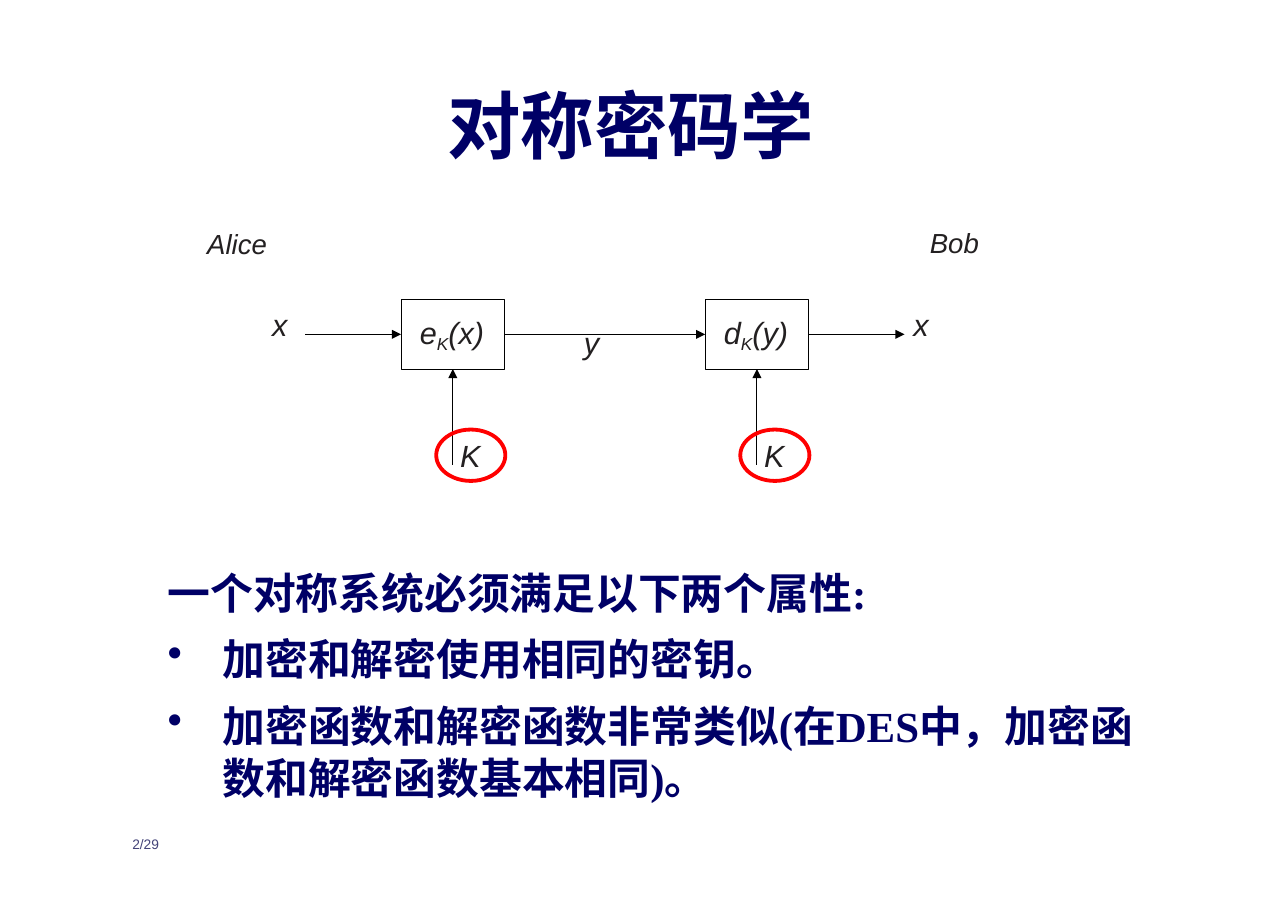
from pptx import Presentation
from pptx.dml.color import RGBColor
from pptx.enum.shapes import MSO_CONNECTOR, MSO_SHAPE
from pptx.enum.text import MSO_ANCHOR, PP_ALIGN
from pptx.oxml.ns import qn
from pptx.util import Inches, Pt
from lxml.etree import SubElement

WIDE, HIGH = 11.69, 8.26
COLS = ROWS = 100
NAVY, INK, BLACK, RED, GREY = "000066", "232021", "000000", "FF0000", "444479"
SERIF, SANS = "Times New Roman", "Arial"

TITLE = "对称密码学"
LEAD = "一个对称系统必须满足以下两个属性:"
POINTS = [
    "加密和解密使用相同的密钥。",
    "加密函数和解密函数非常类似(在DES中，加密函数和解密函数基本相同)。",
]
PAGE = "2/29"
KEY = "K"
BOXES = [(31.14, ("e", KEY, "(x)")), (54.75, ("d", KEY, "(y)"))]
BOX_W, BOX_H, BOX_TOP = 8.04, 7.63, 32.93
WIRE, REACH, KEY_END = 36.74, 7.44, 51.09
RING = (2.73, 47.2, 5.37, 5.65)
LABELS = [
    ("Alice", 16.09, 24.94, 18),
    ("Bob", 72.2, 24.82, 18),
    ("x", 21.13, 33.66, 20),
    ("y", 45.34, 35.59, 20),
    ("x", 70.92, 33.66, 20),
]

deck = Presentation()
deck.slide_width, deck.slide_height = Inches(WIDE), Inches(HIGH)
slide = deck.slides.add_slide(deck.slide_layouts[6])


def tint(code):
    return RGBColor.from_string(code)


def col(n):
    return Inches(n * WIDE / COLS)


def row(n):
    return Inches(n * HIGH / ROWS)


def place(x, y, w, h):
    return col(x), row(y), col(w), row(h)


def clear(frame):
    frame.word_wrap = True
    frame.vertical_anchor = MSO_ANCHOR.TOP
    frame.margin_left = frame.margin_right = 0
    frame.margin_top = frame.margin_bottom = 0


def style(run, size, code, face, bold=False, slant=False):
    font = run.font
    font.size, font.name = Pt(size), face
    font.bold, font.italic = bold, slant
    font.color.rgb = tint(code)


def write(text, area, *look, **more):
    frame = slide.shapes.add_textbox(*place(*area)).text_frame
    clear(frame)
    frame.text = text
    for para in frame.paragraphs:
        for run in para.runs:
            style(run, *look, **more)
    return frame


def outline(kind, area, code, width):
    shape = slide.shapes.add_shape(kind, *place(*area))
    shape.shadow.inherit = False
    shape.fill.background()
    shape.line.color.rgb = tint(code)
    shape.line.width = Pt(width)
    return shape


def arrow(x1, y1, x2, y2):
    link = slide.shapes.add_connector(
        MSO_CONNECTOR.STRAIGHT, col(x1), row(y1), col(x2), row(y2))
    link.line.color.rgb = tint(BLACK)
    link.line.width = Pt(0.75)
    SubElement(link.line._get_or_add_ln(), qn("a:tailEnd"), type="triangle")
    SubElement(link._element.spPr, qn("a:effectLst"))


def bullet(para):
    props = para._p.get_or_add_pPr()
    props.set("marL", str(Inches(0.5)))
    props.set("indent", str(-Inches(0.5)))
    SubElement(props, qn("a:buChar"), char="•")


def cipher(left, parts):
    box = outline(MSO_SHAPE.RECTANGLE, (left, BOX_TOP, BOX_W, BOX_H), BLACK, 0.75)
    frame = box.text_frame
    clear(frame)
    frame.margin_left, frame.margin_top = Inches(0.17), Inches(0.13)
    para = frame.paragraphs[0]
    para.alignment = PP_ALIGN.LEFT
    for part in parts:
        run = para.add_run()
        run.text = part
        style(run, 20, INK, SANS, slant=True)
        if part == KEY:
            run.font.size = Pt(19.5)
            run._r.get_or_add_rPr().set("baseline", "-21000")
    mid = left + BOX_W / 2
    arrow(mid, KEY_END, mid, BOX_TOP + BOX_H)
    write(KEY, (left + 4.58, 48.06, 2.5, 4.4), 20, INK, SANS, slant=True)
    shift, top, wide, high = RING
    outline(MSO_SHAPE.OVAL, (left + shift, top, wide, high), RED, 2.5)


head = write(TITLE, (11.55, 8.84, 74.85, 9.93), 48, NAVY, SERIF, bold=True)
head.paragraphs[0].alignment = PP_ALIGN.CENTER

body = write("\n".join([LEAD] + POINTS), (13.01, 62.23, 76.2, 26.3),
             28, NAVY, SERIF, bold=True)
for para in body.paragraphs[1:]:
    para.space_before = Pt(10)
    bullet(para)

for left, parts in BOXES:
    cipher(left, parts)

first, last = BOXES[0][0], BOXES[-1][0]
for start, end in [(first - REACH, first), (first + BOX_W, last),
                   (last + BOX_W, last + BOX_W + REACH)]:
    arrow(start, WIRE, end, WIRE)

for text, x, y, size in LABELS:
    write(text, (x, y, 6 if len(text) > 1 else 2, 4.4), size, INK, SANS, slant=True)

write(PAGE, (10.27, 91.89, 3, 2.4), 9, GREY, SANS)

deck.save("out.pptx")
